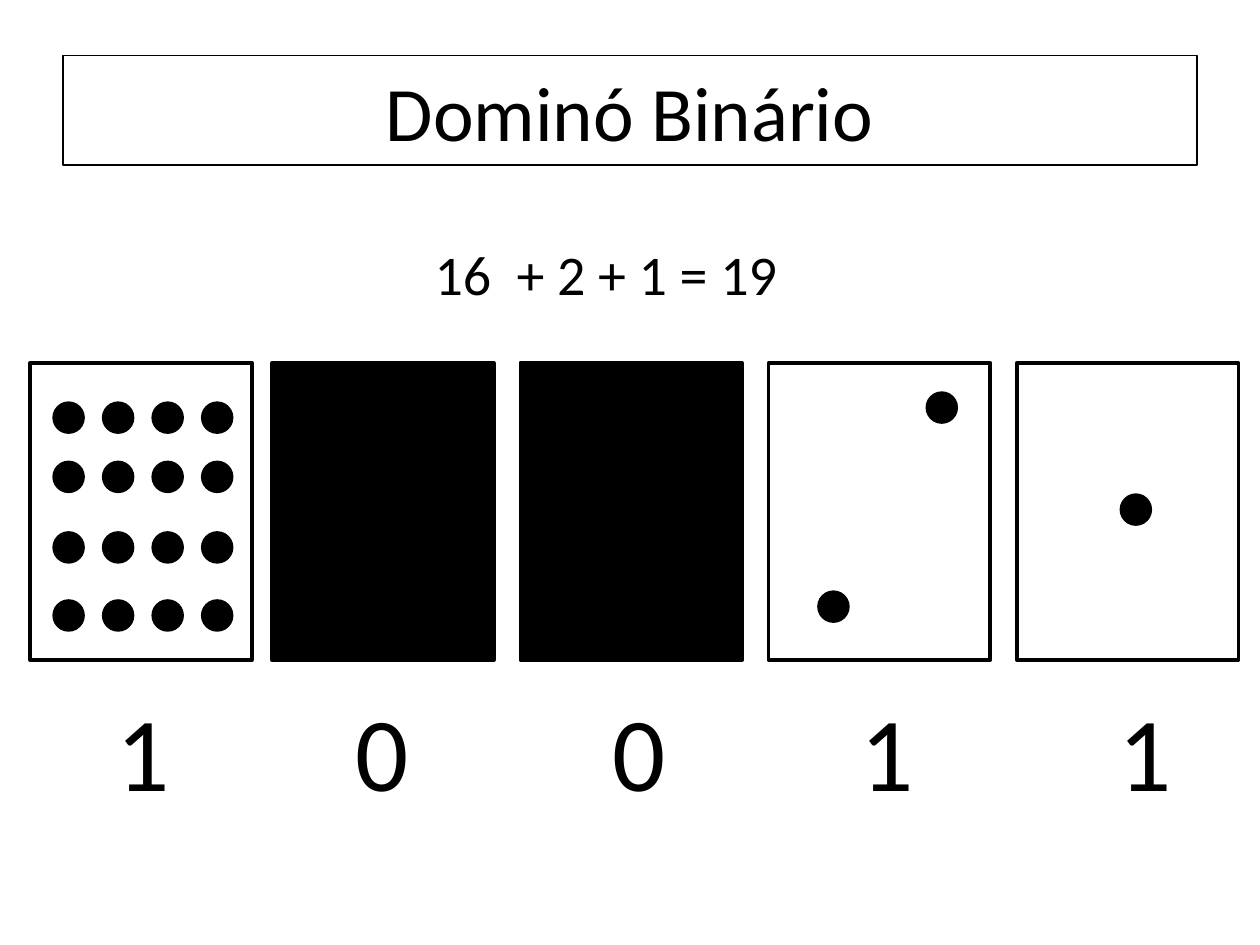
from dataclasses import dataclass
from itertools import product
from typing import Optional

import pptx
import pptx.dml.color
import pptx.enum.shapes
import pptx.enum.text
import pptx.util

# Grid: 100 columns by 75 rows on a 10 x 7.5 inch slide
COLUMNS, ROWS = 100, 75
SLIDE_WIDTH, SLIDE_HEIGHT = pptx.util.Inches(10), pptx.util.Inches(7.5)
BLACK = "000000"
FONT = "Calibri"
SHAPES = pptx.enum.shapes.MSO_SHAPE
ALIGN = pptx.enum.text.PP_ALIGN

CARD_TOP, CARD_WIDTH, CARD_HEIGHT = 28.8, 17.6, 23.6
CARD_PITCH = 19.7
LAST_CARD_LEFT = 80.7
DOT_SIZE = 2.3
DIGIT_TOP, DIGIT_WIDTH, DIGIT_HEIGHT = 54, 6.3, 11.1


@dataclass(frozen=True)
class Box:
    """A place on the slide, in grid columns and rows."""
    left: float
    top: float
    width: float
    height: float

    def lengths(self) -> dict:
        return {
            "left": round(self.left * SLIDE_WIDTH / COLUMNS),
            "top": round(self.top * SLIDE_HEIGHT / ROWS),
            "width": round(self.width * SLIDE_WIDTH / COLUMNS),
            "height": round(self.height * SLIDE_HEIGHT / ROWS),
        }


@dataclass(frozen=True)
class Card:
    """A domino card; dots are offsets from its top left corner."""
    digit: str
    digit_left: float
    dots: tuple = ()
    shift: float = 0


SIXTEEN_DOTS = tuple(product([1.9 + 3.93 * column for column in range(4)],
                             [3.2, 7.9, 13.5, 18.9]))
CARDS = [
    Card("1", 8.3, SIXTEEN_DOTS, shift=0.5),
    Card("0", 27.2),
    Card("0", 47.6),
    Card("1", 67.3, ((12.6, 2.4), (4, 18.2))),
    Card("1", 87.8, ((8.3, 10.5),)),
]


def color(value: str) -> pptx.dml.color.RGBColor:
    return pptx.dml.color.RGBColor.from_string(value)


def apply_format(target, values: dict) -> None:
    for name, value in values.items():
        setattr(target, name, value)


def set_outline(shape, width: float) -> None:
    shape.line.color.rgb = color(BLACK)
    shape.line.width = pptx.util.Pt(width)


def write_text(shape, text: str, size: float, alignment) -> None:
    paragraph = shape.text_frame.paragraphs[0]
    paragraph.alignment = alignment
    run = paragraph.add_run()
    run.text = text
    apply_format(run.font, {"name": FONT, "size": pptx.util.Pt(size)})
    run.font.color.rgb = color(BLACK)


def add_outlined(slide, kind, box: Box, fill: Optional[str]) -> None:
    shape = slide.shapes.add_shape(kind, **box.lengths())
    shape.shadow.inherit = False
    if fill:
        shape.fill.solid()
        shape.fill.fore_color.rgb = color(fill)
    else:
        shape.fill.background()
    set_outline(shape, 2)


def add_label(slide, text: str, box: Box, size: float) -> None:
    label = slide.shapes.add_textbox(**box.lengths())
    apply_format(label.text_frame, {
        "word_wrap": False,
        "auto_size": pptx.enum.text.MSO_AUTO_SIZE.SHAPE_TO_FIT_TEXT,
    })
    write_text(label, text, size, ALIGN.LEFT)


def add_title(slide, text: str, box: Box) -> None:
    title = slide.shapes.title
    apply_format(title, box.lengths())
    apply_format(title.text_frame, {
        "vertical_anchor": pptx.enum.text.MSO_ANCHOR.MIDDLE,
        "auto_size": pptx.enum.text.MSO_AUTO_SIZE.NONE,
    })
    set_outline(title, 0.75)
    write_text(title, text, 44, ALIGN.CENTER)


def add_card(slide, card: Card, left: float) -> None:
    # A card without dots lies face down
    add_outlined(slide, SHAPES.RECTANGLE,
                 Box(left, CARD_TOP, CARD_WIDTH, CARD_HEIGHT),
                 None if card.dots else BLACK)
    for across, down in card.dots:
        add_outlined(slide, SHAPES.OVAL,
                     Box(left + across, CARD_TOP + down, DOT_SIZE, DOT_SIZE),
                     BLACK)
    add_label(slide, card.digit,
              Box(card.digit_left, DIGIT_TOP, DIGIT_WIDTH, DIGIT_HEIGHT), 60)


def main() -> None:
    presentation = pptx.Presentation()
    apply_format(presentation, {"slide_width": SLIDE_WIDTH,
                                "slide_height": SLIDE_HEIGHT})
    slide = presentation.slides.add_slide(presentation.slide_layouts[5])

    # Heading and sum
    add_title(slide, "Dominó Binário", Box(5, 4.4, 90, 8.7))
    add_label(slide, "16  + 2 + 1 = 19", Box(33.5, 18.5, 29.5, 6.4), 32)

    # Cards, spaced evenly back from the last one
    for index, card in enumerate(CARDS):
        steps_back = len(CARDS) - 1 - index
        add_card(slide, card,
                 LAST_CARD_LEFT - steps_back * CARD_PITCH + card.shift)

    presentation.save("out.pptx")


if __name__ == "__main__":
    main()
